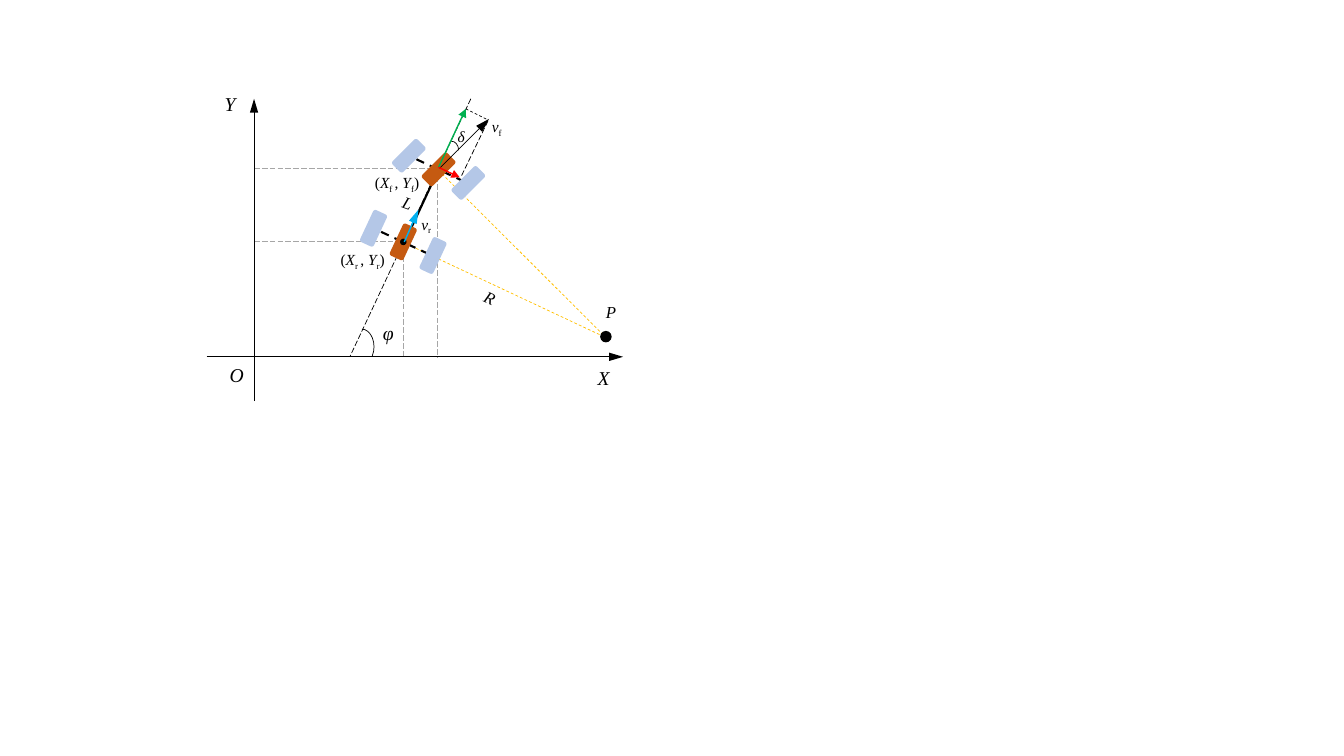
"""Draw the kinematic bicycle model of a steered vehicle in the X-Y plane."""
import pptx
import pptx.dml.color
import pptx.enum.dml
import pptx.enum.shapes
import pptx.enum.text
import pptx.oxml.ns
import pptx.util
from lxml import etree

Inches = pptx.util.Inches
SHAPE = pptx.enum.shapes.MSO_SHAPE
DASH = pptx.enum.dml.MSO_LINE
rgb = pptx.dml.color.RGBColor.from_string
qn = pptx.oxml.ns.qn

BLACK, GREY, YELLOW = "000000", "A6A6A6", "FFC000"
WHEEL, BODY = "B4C7E7", "C55A11"
PLAIN, ITALIC, SUB = "plain", "italic", "sub"

prs = pptx.Presentation()
prs.slide_width, prs.slide_height = Inches(13.33), Inches(7.5)
s = prs.slides.add_slide(prs.slide_layouts[6])


def line(x1, y1, x2, y2, color=BLACK, width=0.5, dash=None, arrow=None):
    """Add a straight line, with an arrowhead of the given length at its end."""
    c = s.shapes.add_connector(pptx.enum.shapes.MSO_CONNECTOR.STRAIGHT,
                               Inches(x1), Inches(y1), Inches(x2), Inches(y2))
    c.line.color.rgb = rgb(color)
    c.line.width = pptx.util.Pt(width)
    if dash:
        c.line.dash_style = dash
    if arrow:
        etree.SubElement(c.line._get_or_add_ln(), qn("a:tailEnd"),
                         type="triangle", w="med", len=arrow)
    etree.SubElement(c._element.spPr, qn("a:effectLst"))


def shape(kind, x, y, w, h, fill=None, outline=None, rotation=0):
    """Add a preset shape centred on x, y."""
    sp = s.shapes.add_shape(kind, Inches(x - w / 2), Inches(y - h / 2), Inches(w), Inches(h))
    sp.shadow.inherit = False
    sp.rotation = rotation
    if fill:
        sp.fill.solid()
        sp.fill.fore_color.rgb = rgb(fill)
    else:
        sp.fill.background()
    if outline:
        sp.line.color.rgb = rgb(BLACK)
        sp.line.width = pptx.util.Pt(outline)
    else:
        sp.line.fill.background()
    return sp


for x, y in ((4.34, 1.67), (4, 2.39)):
    line(2.52, y, x + 0.02, y, GREY, dash=DASH.LONG_DASH)
    line(x, y, x, 3.55, GREY, dash=DASH.LONG_DASH)
line(3.99, 2.4, 5.99, 3.34, YELLOW, dash=DASH.DASH)
line(4.35, 1.69, 5.99, 3.33, YELLOW, dash=DASH.DASH)
line(4.67, 0.98, 3.47, 3.54, dash=DASH.LONG_DASH)
line(2.05, 3.54, 6.18, 3.54, arrow="lg")
line(2.52, 3.98, 2.52, 0.98, arrow="lg")

line(4.35, 1.68, 4.01, 2.41, width=1.5)
for x, y, angle in ((4.0, 2.4, 25), (4.35, 1.68, 45)):
    line(x - 0.22, y - 0.1, x + 0.23, y + 0.11, width=1.5, dash=DASH.DASH)
    for side, color in ((-1, WHEEL), (1, WHEEL), (0, BODY)):
        shape(SHAPE.ROUNDED_RECTANGLE, x + side * 0.295, y + side * 0.135,
              0.15, 0.35, color, rotation=angle)

for x, y, size in ((4, 2.4, 0.05), (6.01, 3.34, 0.1)):
    shape(SHAPE.OVAL, x, y, size, size, BLACK, 1)
for x, y, w, h, angle in ((3.59, 3.44, 0.24, 0.35, 0), (4.5, 1.47, 0.09, 0.14, 339.9)):
    sp = shape(SHAPE.ARC, x, y, w, h, outline=0.5, rotation=angle)
    sp.adjustments[0], sp.adjustments[1] = 162, 26.18

line(4.36, 1.67, 4.85, 1.18, arrow="lg")
line(4.01, 2.4, 4.15, 2.08, "00B0F0", 1, arrow="lg")
line(4.35, 1.66, 4.62, 1.08, "00B050", 1, arrow="med")
line(4.35, 1.66, 4.56, 1.76, "FF0000", 1, arrow="med")
line(4.62, 1.08, 4.84, 1.19, dash=DASH.DASH)
line(4.84, 1.2, 4.57, 1.76, dash=DASH.LONG_DASH)

labels = (
    (2.18, 3.55, 0.34, 0.34, 0, 14, [("O", ITALIC)]),
    (5.83, 3.58, 0.32, 0.34, 0, 14, [("X", ITALIC)]),
    (2.13, 0.86, 0.31, 0.34, 0, 14, [("Y", ITALIC)]),
    (3.7, 3.13, 0.31, 0.34, 0, 14, [("φ", ITALIC)]),
    (5.91, 2.94, 0.32, 0.3, 0, 12, [("P", ITALIC)]),
    (3.9, 1.87, 0.32, 0.3, 20, 12, [("L", ITALIC)]),
    (4.71, 2.81, 0.32, 0.3, 25, 12, [("R", ITALIC)]),
    (4.44, 1.21, 0.27, 0.29, 0, 11, [("δ", ITALIC)]),
    (4.78, 1.11, 0.31, 0.29, 0, 11, [("v", ITALIC), ("f", SUB)]),
    (4.08, 2.08, 0.31, 0.29, 0, 11, [("v", ITALIC), ("r", SUB)]),
    (3.28, 2.43, 0.66, 0.29, 0, 11, [("(", PLAIN), ("X", ITALIC), ("r ", SUB), (",", PLAIN),
                                     (" Y", ITALIC), ("r", SUB), (")", PLAIN)]),
    (3.62, 1.67, 0.66, 0.29, 0, 11, [("(", PLAIN), ("X", ITALIC), ("f ", SUB), (", ", PLAIN),
                                     ("Y", ITALIC), ("f", SUB), (")", PLAIN)]),
)
for x, y, w, h, angle, size, runs in labels:
    sp = s.shapes.add_textbox(Inches(x), Inches(y), Inches(w), Inches(h))
    sp.rotation = angle
    tf = sp.text_frame
    tf.word_wrap = size == 12
    tf.auto_size = pptx.enum.text.MSO_AUTO_SIZE.SHAPE_TO_FIT_TEXT
    for text, style in runs:
        r = tf.paragraphs[0].add_run()
        r.text = text
        font = {"name": "Times New Roman", "size": pptx.util.Pt(size), "italic": style == ITALIC}
        for key, value in font.items():
            setattr(r.font, key, value)
        r.font.color.rgb = rgb(BLACK)
        if style == SUB:
            r.font._element.set("baseline", "-25000")

prs.save("out.pptx")
